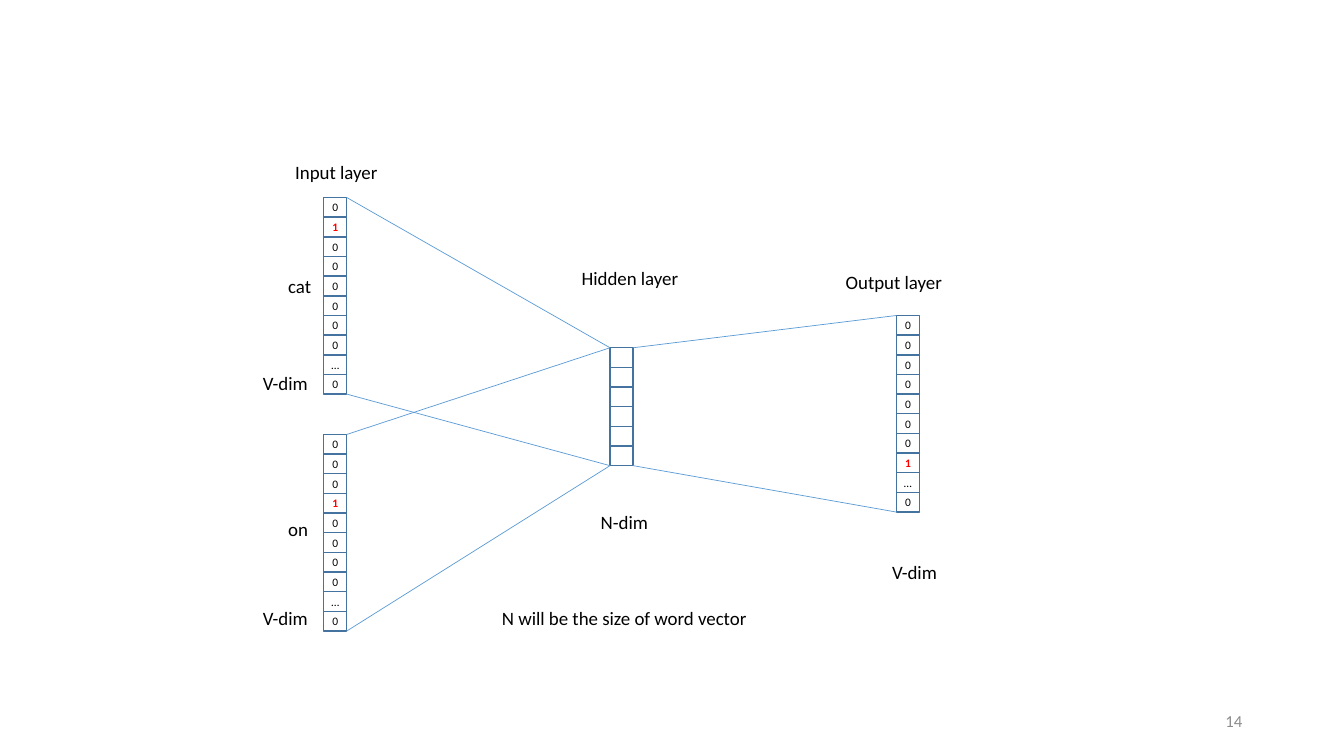
from dataclasses import dataclass

from lxml import etree
from pptx import Presentation
from pptx.dml.color import RGBColor
from pptx.enum.shapes import MSO_CONNECTOR, MSO_SHAPE
from pptx.enum.text import MSO_ANCHOR, MSO_AUTO_SIZE, PP_ALIGN
from pptx.oxml.ns import qn
from pptx.util import Inches, Pt

RECT = MSO_SHAPE.RECTANGLE
STRAIGHT = MSO_CONNECTOR.STRAIGHT
MIDDLE = MSO_ANCHOR.MIDDLE
TOP = MSO_ANCHOR.TOP
FIT = MSO_AUTO_SIZE.SHAPE_TO_FIT_TEXT
NO_FIT = MSO_AUTO_SIZE.NONE
LEFT, CENTER, RIGHT = PP_ALIGN.LEFT, PP_ALIGN.CENTER, PP_ALIGN.RIGHT

FONT = "Calibri"
BLACK, RED, GREY = "000000", "FF0000", "8C8C8C"
CELL_LINE, LINK_LINE = "43739E", "5B9BD5"
CELL_W, CELL_H = 0.23, 0.195
LABEL_H = 0.33

CELL_FRAME = dict(margin_left=0, margin_top=0, margin_right=0, margin_bottom=0,
                  word_wrap=False, vertical_anchor=MIDDLE)
LABEL_FRAME = dict(word_wrap=False, auto_size=FIT, vertical_anchor=TOP)
NUMBER_FRAME = dict(word_wrap=True, auto_size=NO_FIT, vertical_anchor=MIDDLE)


@dataclass
class Vector:
    left: float
    top: float
    values: list[str]

    @property
    def right(self) -> float:
        return self.left + CELL_W

    @property
    def bottom(self) -> float:
        return self.top + CELL_H * len(self.values)


@dataclass
class Label:
    text: str
    left: float
    top: float
    width: float


def rgb(value: str) -> RGBColor:
    return RGBColor.from_string(value)


def apply(target, values: dict) -> None:
    for name, value in values.items():
        setattr(target, name, value)


def write(tf, text: str, frame: dict, size: float, color: str = BLACK,
          bold: bool = False, align=LEFT) -> None:
    apply(tf, frame)
    p = tf.paragraphs[0]
    p.alignment = align
    r = p.add_run()
    r.text = text
    apply(r.font, dict(name=FONT, size=Pt(size), bold=bold))
    r.font.color.rgb = rgb(color)


def draw_vector(s, vector: Vector) -> None:
    group = s.shapes.add_group_shape()
    for i, value in enumerate(vector.values):
        sp = group.shapes.add_shape(
            RECT, Inches(vector.left), Inches(vector.top + i * CELL_H),
            Inches(CELL_W), Inches(CELL_H))
        sp.shadow.inherit = False
        sp.fill.background()
        sp.line.color.rgb = rgb(CELL_LINE)
        sp.line.width = Pt(1)
        if value:
            hot = value == "1"
            write(sp.text_frame, value, CELL_FRAME, 8.2,
                  RED if hot else BLACK, hot, CENTER)


def draw_links(s, source: Vector, target: Vector) -> None:
    for y1, y2 in ((source.top, target.top), (source.bottom, target.bottom)):
        link = s.shapes.add_connector(STRAIGHT, Inches(source.right), Inches(y1),
                                      Inches(target.left), Inches(y2))
        link.line.color.rgb = rgb(LINK_LINE)
        link.line.width = Pt(0.5)
        etree.SubElement(link._element.spPr, qn("a:effectLst"))


def draw_label(s, label: Label) -> None:
    box = s.shapes.add_textbox(Inches(label.left), Inches(label.top),
                               Inches(label.width), Inches(LABEL_H))
    write(box.text_frame, label.text, LABEL_FRAME, 13.5)


def draw_number(s, text: str) -> None:
    box = s.shapes.add_textbox(Inches(9.42), Inches(6.95), Inches(3), Inches(0.4))
    write(box.text_frame, text, NUMBER_FRAME, 12, GREY, align=RIGHT)


def one_hot(position: int) -> list[str]:
    values = ["0"] * 10
    values[position] = "1"
    values[8] = "…"
    return values


CAT = Vector(3.21, 1.96, one_hot(1))
ON = Vector(3.21, 4.31, one_hot(3))
HIDDEN = Vector(6.05, 3.45, [""] * 6)
OUTPUT = Vector(8.89, 3.13, one_hot(7))

LABELS = [
    Label("cat", 2.76, 2.68, 0.43),
    Label("on", 2.76, 5.09, 0.4),
    Label("Input layer", 2.83, 1.54, 1.03),
    Label("Hidden layer", 5.67, 2.6, 1.18),
    Label("Output layer", 8.29, 2.64, 1.17),
    Label("V-dim", 2.51, 3.64, 0.66),
    Label("V-dim", 2.51, 5.97, 0.66),
    Label("N-dim", 5.86, 5.02, 0.68),
    Label("V-dim", 8.75, 5.51, 0.66),
    Label("N will be the size of word vector", 4.88, 5.97, 2.66),
]


def main() -> None:
    prs = Presentation()
    prs.slide_width, prs.slide_height = Inches(13.33), Inches(7.5)
    s = prs.slides.add_slide(prs.slide_layouts[6])
    draw_number(s, "14")
    for vector in (CAT, ON, HIDDEN, OUTPUT):
        draw_vector(s, vector)
    for source, target in ((CAT, HIDDEN), (ON, HIDDEN), (HIDDEN, OUTPUT)):
        draw_links(s, source, target)
    for label in LABELS:
        draw_label(s, label)
    prs.save("out.pptx")


if __name__ == "__main__":
    main()
